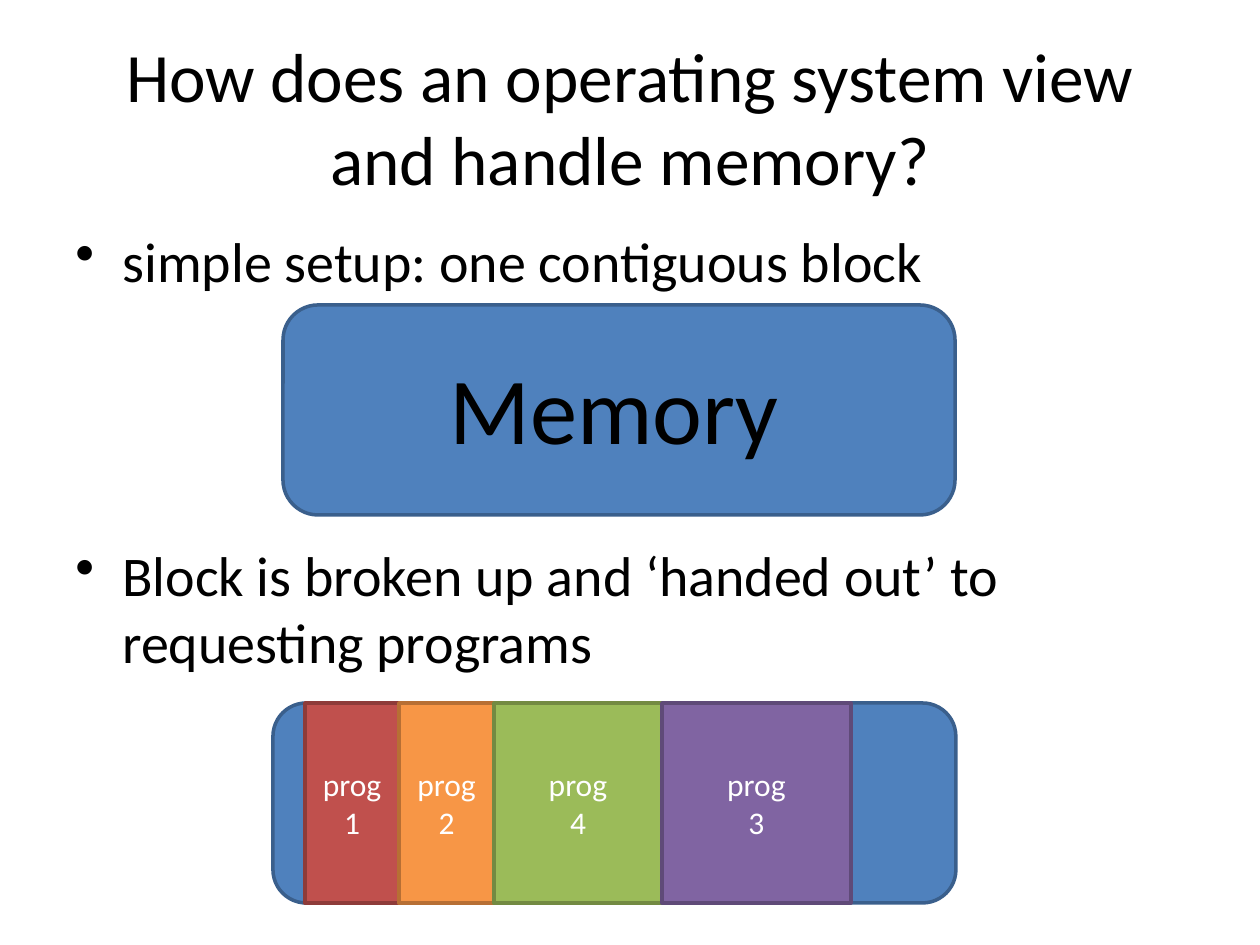
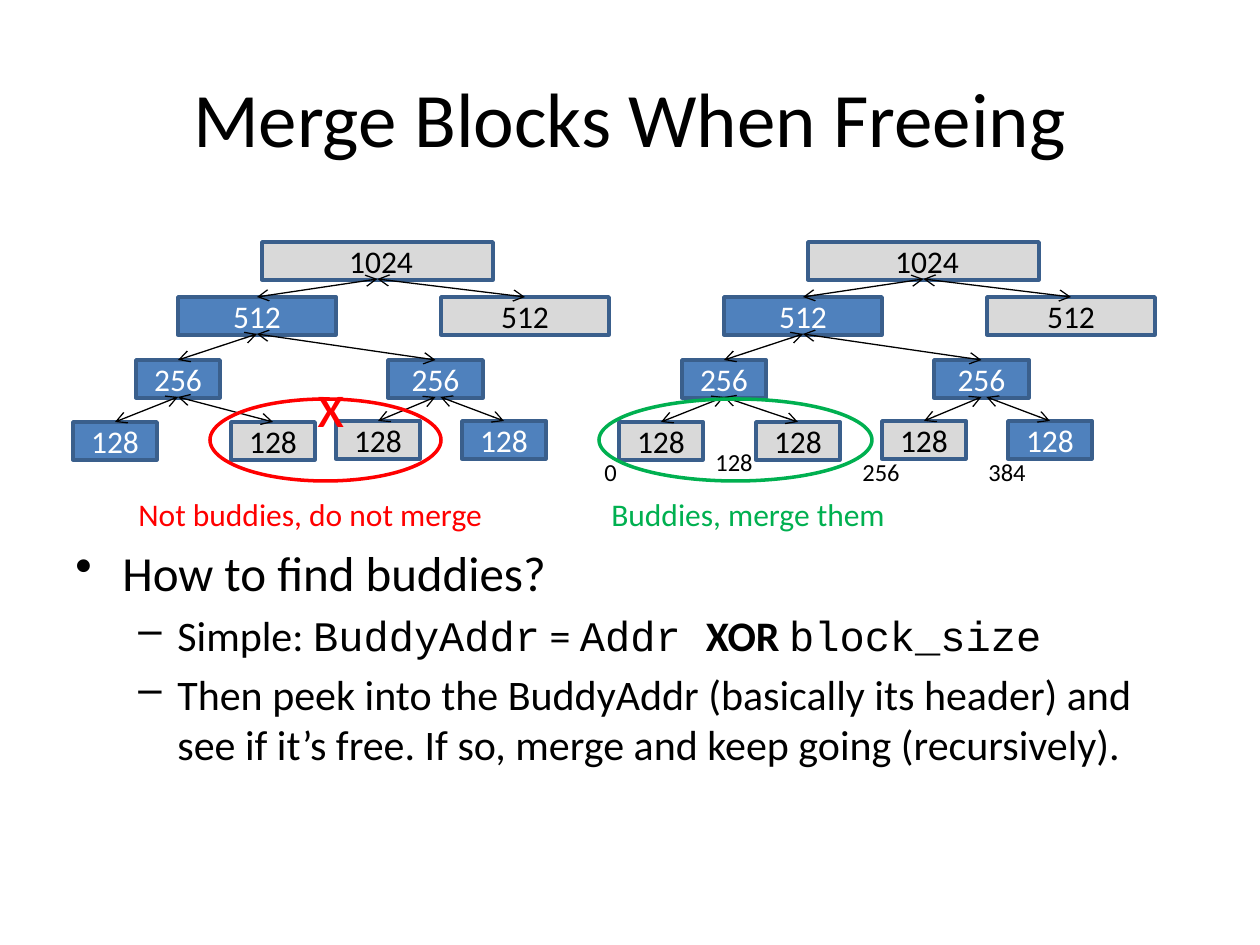
"""Build two slides on how an operating system hands out and merges memory."""
from dataclasses import dataclass
from typing import Optional

import pptx
import pptx.dml.color
import pptx.enum.shapes
import pptx.enum.text
import pptx.oxml
import pptx.oxml.ns
import pptx.util

SCALE = 914400 / 126
FONT, CODE_FONT = "Calibri", "Courier New"
BLACK, WHITE, RED, GREEN = "000000", "FFFFFF", "FF0000", "00B050"
BLUE, BLUE_EDGE, GRAY = "4F81BD", "3A5F8C", "D9D9D9"
KINDS = pptx.enum.shapes.MSO_SHAPE
CENTER = pptx.enum.text.PP_ALIGN.CENTER
MIDDLE = pptx.enum.text.MSO_ANCHOR.MIDDLE


@dataclass(frozen=True)
class Box:
    left: int
    top: int
    width: int
    height: int

    def emu(self) -> list:
        return [px(side) for side in (self.left, self.top, self.width, self.height)]

    def shifted(self, shift: int) -> "Box":
        return Box(self.left + shift, self.top, self.width, self.height)


@dataclass(frozen=True)
class Bullet:
    spans: tuple
    size: float
    gap: float = 0
    mark: str = "•"
    margin: int = 47
    hang: int = 47


@dataclass(frozen=True)
class Program:
    lines: tuple
    width: int
    fill: str
    edge: str


@dataclass(frozen=True)
class Node:
    text: str
    box: Box
    parent: Optional[int] = None
    start_shift: int = 0


@dataclass(frozen=True)
class Tree:
    shift: int
    second_leaf: int
    free: tuple
    ring: Box
    color: str
    caption: str
    caption_box: Box


def px(length: float) -> pptx.util.Emu:
    """Turn pixels into EMU."""
    return pptx.util.Emu(round(length * SCALE))


def rgb(color: str) -> pptx.dml.color.RGBColor:
    """Turn a hex string into a colour."""
    return pptx.dml.color.RGBColor.from_string(color)


def style(font, size: float, color: str) -> None:
    """Set the face, size and colour of a font."""
    font.name, font.size = FONT, pptx.util.Pt(size)
    font.color.rgb = rgb(color)


def add_element(parent, tag: str, **attributes: str) -> None:
    """Append a DrawingML element to its parent."""
    element = pptx.oxml.parse_xml(f'<a:{tag} {pptx.oxml.ns.nsdecls("a")}/>')
    for name, value in attributes.items():
        element.set(name, value)
    parent.append(element)


def write(frame, lines: tuple, size: float, color: str, centered: bool) -> None:
    """Write one paragraph for each line."""
    for index, line in enumerate(lines):
        para = frame.add_paragraph() if index else frame.paragraphs[0]
        para.text = line
        style(para.font, size, color)
        if centered:
            para.alignment = CENTER


def add_label(page, text: str, box: Box, size: float, color: str = BLACK,
              wrap: bool = False) -> None:
    """Add a plain text box."""
    frame = page.shapes.add_textbox(*box.emu()).text_frame
    frame.word_wrap = wrap
    write(frame, (text,), size, color, False)


def add_title(page, text: str, size: float) -> None:
    """Add the centred slide title."""
    frame = page.shapes.add_textbox(*Box(63, 38, 1134, 157).emu()).text_frame
    frame.word_wrap, frame.vertical_anchor = True, MIDDLE
    write(frame, (text,), size, BLACK, True)


def add_bullets(page, box: Box, bullets: tuple) -> None:
    """Add a bulleted list."""
    frame = page.shapes.add_textbox(*box.emu()).text_frame
    frame.word_wrap = True
    for index, bullet in enumerate(bullets):
        para = frame.add_paragraph() if index else frame.paragraphs[0]
        style(para.font, bullet.size, BLACK)
        para.space_before = pptx.util.Pt(bullet.gap)
        properties = para._p.get_or_add_pPr()
        properties.set("marL", str(px(bullet.margin)))
        properties.set("indent", str(-px(bullet.hang)))
        properties.insert_element_before(
            pptx.oxml.parse_xml(
                f'<a:buChar {pptx.oxml.ns.nsdecls("a")} char="{bullet.mark}"/>'),
            "a:defRPr")
        for text, face, bold in bullet.spans:
            span = para.add_run()
            span.text = text
            style(span.font, bullet.size, BLACK)
            span.font.name, span.font.bold = face, bold


def add_block(page, kind, box: Box, fill: Optional[str], edge: str,
              lines: tuple = (), color: str = WHITE) -> None:
    """Add an outlined shape with optional centred text."""
    shape = page.shapes.add_shape(kind, *box.emu())
    shape.shadow.inherit = False
    if fill:
        shape.fill.solid()
        shape.fill.fore_color.rgb = rgb(fill)
    else:
        shape.fill.background()
    shape.line.color.rgb = rgb(edge)
    shape.line.width = pptx.util.Pt(2)
    shape.text_frame.word_wrap = True
    shape.text_frame.vertical_anchor = MIDDLE
    write(shape.text_frame, lines, 18, color, True)


def add_branch(page, parent: Box, child: Box, start_shift: int) -> None:
    """Join a parent's bottom to a child's top with a two-way arrow."""
    ends = (parent.left + parent.width / 2 + start_shift,
            parent.top + parent.height - 1,
            child.left + child.width / 2, child.top)
    arrow = page.shapes.add_connector(
        pptx.enum.shapes.MSO_CONNECTOR.STRAIGHT, *map(px, ends))
    arrow.line.color.rgb = rgb(BLACK)
    arrow.line.width = pptx.util.Pt(0.75)
    for end in ("headEnd", "tailEnd"):
        add_element(arrow.line._get_or_add_ln(), end, type="arrow")
    add_element(arrow._element.spPr, "effectLst")


def add_tree(page, tree: Tree) -> None:
    """Draw a buddy tree with its ring and caption."""
    nodes = (
        Node(" 1024", Box(262, 242, 231, 38)),
        Node("512", Box(178, 297, 158, 38), 0),
        Node("512", Box(441, 297, 168, 38), 0),
        Node("256", Box(136, 360, 84, 38), 1),
        Node("256", Box(388, 360, 95, 38), 1),
        Node("128", Box(73, 422, 84, 38), 3),
        Node("128", Box(tree.second_leaf, 422, 84, 38), 3),
        Node("128", Box(336, 421, 84, 38), 4),
        Node("128", Box(462, 421, 84, 38), 4, 5),
    )
    boxes = [node.box.shifted(tree.shift) for node in nodes]
    for index, node in enumerate(nodes):
        free = index in tree.free
        add_block(page, KINDS.RECTANGLE, boxes[index], GRAY if free else BLUE,
                  BLUE_EDGE, (node.text,), BLACK if free else WHITE)
    for node, box in zip(nodes, boxes):
        if node.parent is not None:
            add_branch(page, boxes[node.parent], box, node.start_shift)
    add_block(page, KINDS.OVAL, tree.ring, None, tree.color)
    add_label(page, tree.caption, tree.caption_box, 18, tree.color)


def build_memory(page) -> None:
    """Show memory as one block, then shared among programs."""
    add_title(page, "How does an operating system view and handle memory?", 39.6)
    add_bullets(page, Box(63, 220, 1134, 624), (
        Bullet((("simple setup: one contiguous block", FONT, False),), 32),
        Bullet((("Block is broken up and ‘handed out’ to requesting programs",
                 FONT, False),), 32, 141),
    ))
    add_block(page, KINDS.ROUNDED_RECTANGLE, Box(283, 305, 672, 210), BLUE, BLUE_EDGE)
    add_label(page, "Memory", Box(437, 344, 397, 106), 54, wrap=True)
    add_block(page, KINDS.ROUNDED_RECTANGLE, Box(273, 703, 683, 200), BLUE, BLUE_EDGE)
    left = 305
    for program in (
        Program(("prog 1",), 94, "C0504D", "8E3B39"),
        Program(("prog 2",), 95, "F79646", "B76F34"),
        Program(("prog", "4"), 168, "9BBB59", "738A42"),
        Program(("prog", "3"), 189, "8064A2", "5F4A78"),
    ):
        add_block(page, KINDS.RECTANGLE, Box(left, 703, program.width, 200),
                  program.fill, program.edge, program.lines)
        left += program.width


def build_merging(page) -> None:
    """Show which freed blocks may merge."""
    add_title(page, "Merge Blocks When Freeing", 44)
    sub = dict(size=24, gap=4.8, mark="–", margin=102, hang=39)
    add_bullets(page, Box(63, 536, 1134, 308), (
        Bullet((("How to find buddies?", FONT, False),), 28),
        Bullet((("Simple: ", FONT, False), ("BuddyAddr", CODE_FONT, False),
                (" = ", FONT, False), ("Addr ", CODE_FONT, False),
                ("XOR ", FONT, True), ("block_size", CODE_FONT, False)), **sub),
        Bullet((("Then peek into the BuddyAddr (basically its header) and see if "
                 "it’s free. If so, merge and keep going (recursively).",
                 FONT, False),), **sub),
    ))
    add_tree(page, Tree(0, 231, (0, 2, 6, 7), Box(210, 399, 231, 82), RED,
                        "Not buddies, do not merge", Box(126, 489, 373, 37)))
    add_label(page, "x", Box(305, 358, 53, 63), 36, RED, wrap=True)
    add_tree(page, Tree(546, 210, (0, 2, 5, 6, 7), Box(599, 399, 273, 82), GREEN,
                        "Buddies, merge them", Box(599, 489, 302, 37)))
    for text, left, top, width in (("0", 592, 451, 38), ("128", 703, 441, 63),
                                   ("256", 850, 451, 63), ("384", 976, 451, 63)):
        add_label(page, text, Box(left, top, width, 43), 14)


def main() -> None:
    """Build and save the deck."""
    deck = pptx.Presentation()
    deck.slide_width, deck.slide_height = px(1260), px(945)
    for build in (build_memory, build_merging):
        build(deck.slides.add_slide(deck.slide_layouts[6]))
    deck.save("out.pptx")


main()
